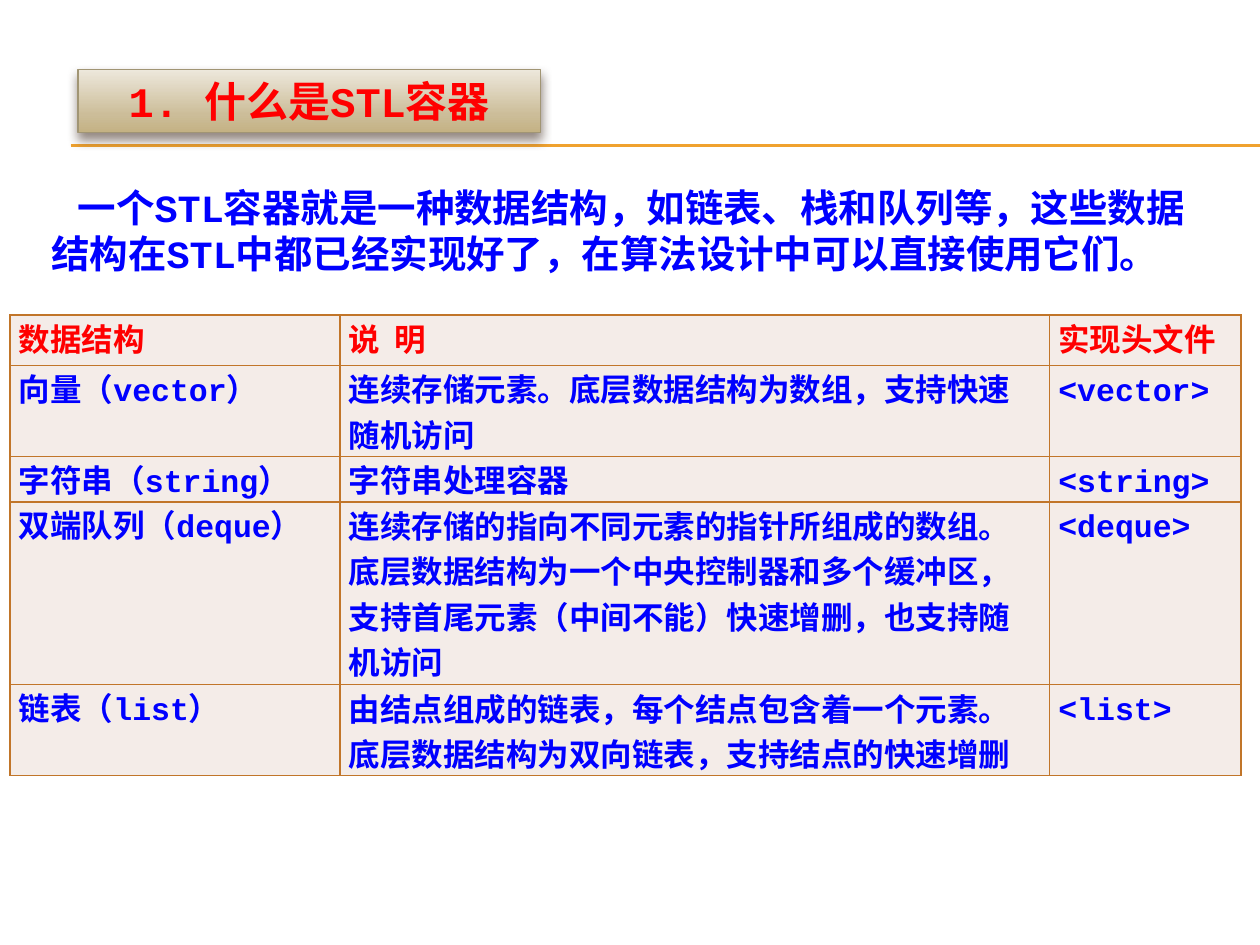
from lxml.etree import SubElement
from pptx import Presentation
from pptx.dml.color import RGBColor
from pptx.enum.lang import MSO_LANGUAGE_ID as LANG
from pptx.enum.shapes import MSO_CONNECTOR, MSO_SHAPE
from pptx.enum.text import MSO_ANCHOR, PP_ALIGN
from pptx.oxml import parse_xml
from pptx.oxml.ns import nsdecls, qn
from pptx.util import Inches, Pt

RED = RGBColor(0xFF, 0x00, 0x00)
BLUE = RGBColor(0x00, 0x00, 0xFF)
ORANGE = RGBColor(0xF0, 0xA2, 0x2E)
TAN = RGBColor(0xA1, 0x95, 0x74)
CELL_FILL = RGBColor(0xF4, 0xEC, 0xE8)
BORDER = RGBColor(0xC1, 0x75, 0x29)
MONO, SERIF = "Courier New", "Times New Roman"


def style_text(p, size, color, name=MONO):
    """Format every run of a paragraph as bold Chinese text."""
    for r in p.runs:
        r.font.size = Pt(size)
        r.font.bold = True
        r.font.name = name
        r.font.color.rgb = color
        r.font.language_id = LANG.SIMPLIFIED_CHINESE


def add_borders(cell):
    """Draw a 1 pt line on all four sides of a table cell."""
    tcPr = cell._tc.get_or_add_tcPr()
    for side in ("lnL", "lnR", "lnT", "lnB"):
        ln = SubElement(tcPr, qn(f"a:{side}"), w=str(Pt(1)))
        fill = SubElement(ln, qn("a:solidFill"))
        SubElement(fill, qn("a:srgbClr"), val=str(BORDER))


prs = Presentation()
prs.slide_width, prs.slide_height = Inches(10), Inches(7.5)
slide = prs.slides.add_slide(prs.slide_layouts[6])

# Double rule under the title
for y in (1.15, 1.16):
    rule = slide.shapes.add_connector(
        MSO_CONNECTOR.STRAIGHT, Inches(0.56), Inches(y), Inches(10), Inches(y))
    rule.line.color.rgb = ORANGE
    rule.line.width = Pt(0.75)
    SubElement(rule._element.spPr, qn("a:effectLst"))

# Title plate
title = slide.shapes.add_shape(
    MSO_SHAPE.RECTANGLE, Inches(0.62), Inches(0.55), Inches(3.67), Inches(0.5))
title.line.color.rgb = TAN
title.line.width = Pt(0.79)
title.fill.gradient()
title.fill.gradient_angle = 270
stops = title._element.spPr.find(qn("a:gradFill")).find(qn("a:gsLst"))
for stop in list(stops):
    stops.remove(stop)
for percent, color in ((0, "EDE8DC"), (72, "CCBD99"), (100, "C4B284")):
    stop = SubElement(stops, qn("a:gs"), pos=str(percent * 1000))
    SubElement(stop, qn("a:srgbClr"), val=color)
title.shadow.inherit = False
title._element.spPr.find(qn("a:effectLst")).append(parse_xml(
    f'<a:outerShdw {nsdecls("a")} blurRad="{Pt(6)}" dist="{Pt(4)}" dir="5400000" '
    'rotWithShape="0"><a:srgbClr val="4E3B30"><a:alpha val="60000"/></a:srgbClr>'
    '</a:outerShdw>'))
tf = title.text_frame
tf.text = "1. 什么是STL容器"
tf.vertical_anchor = MSO_ANCHOR.MIDDLE
tf.paragraphs[0].alignment = PP_ALIGN.CENTER
style_text(tf.paragraphs[0], 24, RED)

# Container table
rows = [
    ("数据结构", "说  明", "实现头文件"),
    ("向量（vector）", "连续存储元素。底层数据结构为数组，支持快速随机访问", "<vector>"),
    ("字符串（string）", "字符串处理容器", "<string>"),
    ("双端队列（deque）",
     "连续存储的指向不同元素的指针所组成的数组。底层数据结构为一个中央控制器和"
     "多个缓冲区，支持首尾元素（中间不能）快速增删，也支持随机访问", "<deque>"),
    ("链表（list）",
     "由结点组成的链表，每个结点包含着一个元素。底层数据结构为双向链表，"
     "支持结点的快速增删", "<list>"),
]
col_widths = (2.62, 5.63, 1.52)
row_heights = (0.4, 0.72, 0.36, 1.45, 0.72)
table = slide.shapes.add_table(
    len(rows), len(col_widths), Inches(0.08), Inches(2.5),
    Inches(sum(col_widths)), Inches(sum(row_heights))).table
for column, width in zip(table.columns, col_widths):
    column.width = Inches(width)
for i, (values, height) in enumerate(zip(rows, row_heights)):
    table.rows[i].height = Inches(height)
    for j, value in enumerate(values):
        cell = table.cell(i, j)
        cell.margin_left = cell.margin_right = Inches(0.07)
        cell.margin_top = cell.margin_bottom = 0
        add_borders(cell)
        cell.fill.solid()
        cell.fill.fore_color.rgb = CELL_FILL
        p = cell.text_frame.paragraphs[0]
        p.text = value
        p.line_spacing = Pt(26)
        p.alignment = PP_ALIGN.JUSTIFY if i == 0 or j == 2 else PP_ALIGN.LEFT
        if i == 0:
            style_text(p, 18, RED, SERIF)
        else:
            style_text(p, 18, BLUE)

# Introduction
intro = slide.shapes.add_textbox(Inches(0.31), Inches(1.41), Inches(9.45), Inches(0.84))
tf = intro.text_frame
tf.word_wrap = True
p = tf.paragraphs[0]
p.text = ("一个STL容器就是一种数据结构，如链表、栈和队列等，这些数据结构在STL中"
          "都已经实现好了，在算法设计中可以直接使用它们。")
p._p.get_or_add_pPr().set("indent", str(Inches(0.21)))
style_text(p, 22, BLUE)

prs.save("out.pptx")
